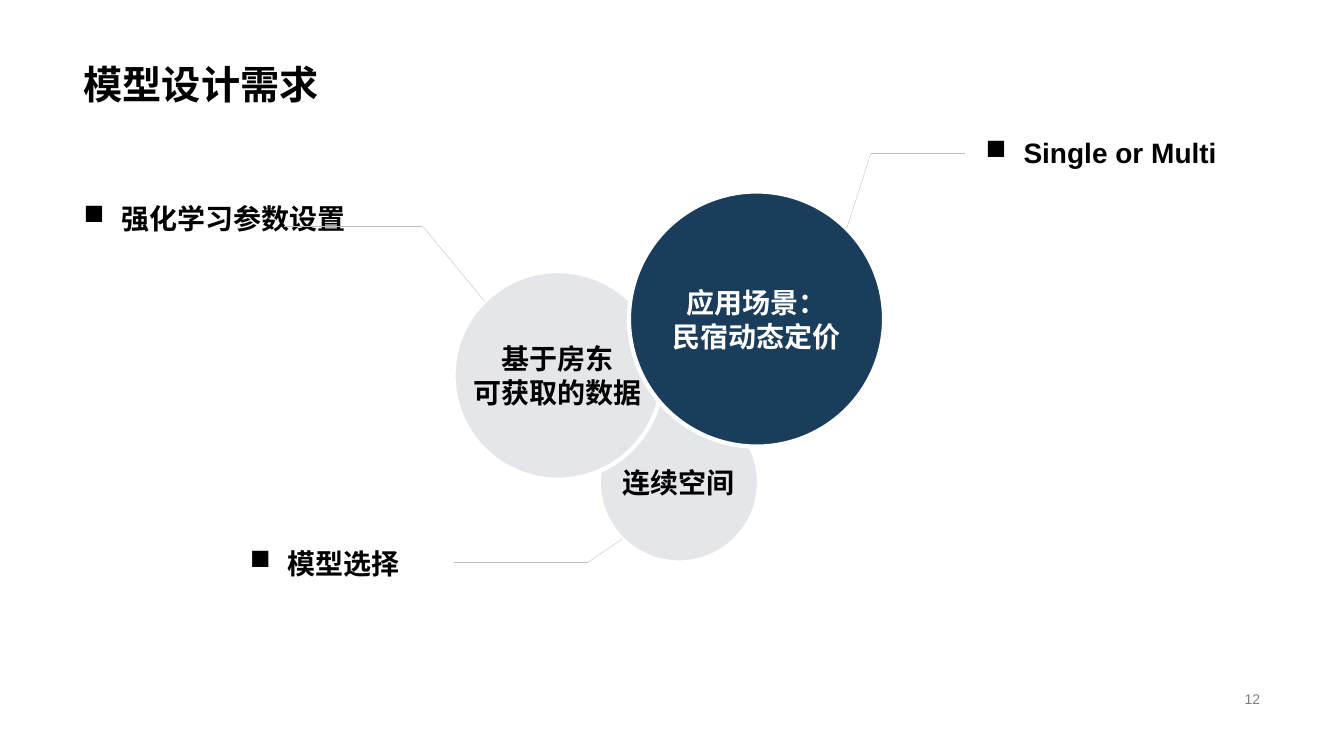
import dataclasses
import itertools

import lxml.etree
import pptx
import pptx.dml.color
import pptx.enum.shapes
import pptx.enum.text
import pptx.oxml.ns
import pptx.util

Pt = pptx.util.Pt
ALIGN = pptx.enum.text.PP_ALIGN
ANCHOR = pptx.enum.text.MSO_ANCHOR
COLORS = {
    "text": "000000",
    "light": "FFFFFF",
    "navy": "193D5A",
    "pale": "E4E6EA",
    "leader": "BFBFBF",
    "number": "808080",
}
BULLET_INDENT = 27


@dataclasses.dataclass
class Circle:
    lines: list[str]
    left: float
    top: float
    diameter: float
    fill: str
    color: str


@dataclasses.dataclass
class Callout:
    text: str
    left: float
    top: float
    leader: list[tuple[float, float]]


CIRCLES = [
    Circle(["连续空间"], 427.7, 287.3, 114.5, "pale", "text"),
    Circle(["基于房东", "可获取的数据"], 324, 193.7, 149, "pale", "text"),
    Circle(["应用场景：", "民宿动态定价"], 449.3, 136.8, 182.2, "navy", "light"),
]
CALLOUTS = [
    Callout("强化学习参数设置", 52.6, 136.8, [(203, 161.3), (301.7, 161.3), (346.3, 215.3)]),
    Callout("模型选择", 171.4, 383, [(324, 401.8), (419.8, 401.8), (444.2, 385.2)]),
    Callout("Single or Multi", 697, 90, [(689, 109.4), (622.1, 109.4), (604.8, 163.4)]),
]


def rgb(name: str) -> pptx.dml.color.RGBColor:
    return pptx.dml.color.RGBColor.from_string(COLORS[name])


def apply(target: object, values: dict[str, object]) -> None:
    for name, value in values.items():
        setattr(target, name, value)


def write(box, lines: list[str], size: float, color: str, bold: bool = True,
          align=ALIGN.LEFT, anchor=ANCHOR.MIDDLE, wrap: bool = False) -> None:
    frame = box.text_frame
    apply(frame, {
        "text": "\n".join(lines),
        "auto_size": pptx.enum.text.MSO_AUTO_SIZE.NONE,
        "vertical_anchor": anchor,
        "word_wrap": wrap,
    })
    for para in frame.paragraphs:
        para.alignment = align
        for span in para.runs:
            apply(span.font, {"name": "Arial", "size": Pt(size), "bold": bold})
            span.font.color.rgb = rgb(color)


def add_bullet(para) -> None:
    properties = para._p.get_or_add_pPr()
    properties.set("marL", str(Pt(BULLET_INDENT)))
    properties.set("indent", str(-Pt(BULLET_INDENT)))
    bullet = lxml.etree.SubElement(properties, pptx.oxml.ns.qn("a:buChar"))
    bullet.set("char", "■")


def draw_circle(page, circle: Circle) -> None:
    shape = page.shapes.add_shape(
        pptx.enum.shapes.MSO_SHAPE.OVAL,
        Pt(circle.left), Pt(circle.top), Pt(circle.diameter), Pt(circle.diameter))
    shape.shadow.inherit = False
    shape.fill.solid()
    shape.fill.fore_color.rgb = rgb(circle.fill)
    shape.line.color.rgb = rgb("light")
    shape.line.width = Pt(3)
    write(shape, circle.lines, 20, circle.color, align=ALIGN.CENTER)


def draw_callout(page, callout: Callout) -> None:
    box = page.shapes.add_textbox(Pt(callout.left), Pt(callout.top), Pt(210.2), Pt(34.6))
    write(box, [callout.text], 20, "text", anchor=ANCHOR.BOTTOM)
    add_bullet(box.text_frame.paragraphs[0])
    for start, end in itertools.pairwise(callout.leader):
        line = page.shapes.add_connector(
            pptx.enum.shapes.MSO_CONNECTOR.STRAIGHT, *map(Pt, start + end))
        line.line.color.rgb = rgb("leader")
        line.line.width = Pt(0.25)
        lxml.etree.SubElement(line._element.spPr, pptx.oxml.ns.qn("a:effectLst"))


def main() -> None:
    deck = pptx.Presentation()
    apply(deck, {"slide_width": Pt(960), "slide_height": Pt(540)})
    page = deck.slides.add_slide(deck.slide_layouts[5])

    title = page.shapes.title
    apply(title, {"left": Pt(52.6), "top": Pt(0), "width": Pt(854.6), "height": Pt(80.6)})
    write(title, ["模型设计需求"], 28, "text", anchor=ANCHOR.BOTTOM, wrap=True)
    title.text_frame.paragraphs[0].line_spacing = 0.9

    number = page.shapes.add_textbox(Pt(678.2), Pt(491), Pt(229), Pt(16.6))
    write(number, ["12"], 10, "number", bold=False, align=ALIGN.RIGHT, wrap=True)

    for circle in CIRCLES:
        draw_circle(page, circle)
    for callout in CALLOUTS:
        draw_callout(page, callout)

    deck.save("out.pptx")


if __name__ == "__main__":
    main()
